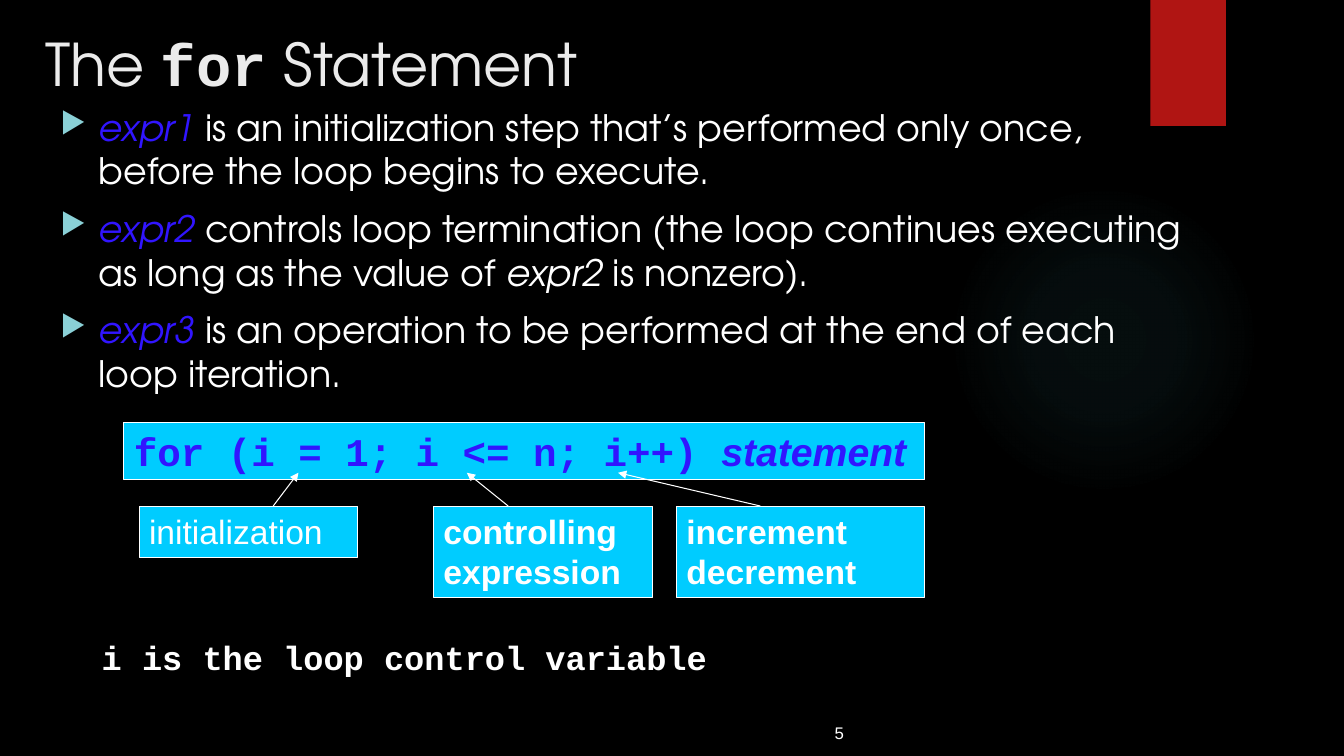
"""Build the slide that explains the three expressions of the for statement."""
import lxml.etree
import pptx
import pptx.dml.color
import pptx.enum.shapes
import pptx.enum.text
import pptx.oxml
import pptx.oxml.ns
import pptx.util

Inches = pptx.util.Inches
RGBColor = pptx.dml.color.RGBColor
Align = pptx.enum.text.PP_ALIGN
Anchor = pptx.enum.text.MSO_ANCHOR
Shape = pptx.enum.shapes.MSO_SHAPE
qn = pptx.oxml.ns.qn

BLACK = RGBColor(0x00, 0x00, 0x00)
WHITE = RGBColor(0xFF, 0xFF, 0xFF)
LIGHT_GREY = RGBColor(0xEB, 0xEB, 0xEB)
BLUE = RGBColor(0x31, 0x15, 0xFF)
CYAN = RGBColor(0x00, 0xCC, 0xFF)
RED = RGBColor(0xB0, 0x15, 0x13)
TEAL = RGBColor(0x50, 0xB9, 0xC1)
PALE_TEAL = RGBColor(0x8A, 0xD0, 0xD6)

HEADING = {"name": "TeX Gyre Adventor", "size": 42, "color": LIGHT_GREY}
HEADING_CODE = {**HEADING, "name": "Courier New", "bold": True}
BODY = {"name": "TeX Gyre Adventor", "size": 26, "color": WHITE}
BODY_ITALIC = {**BODY, "italic": True}
TERM = {**BODY_ITALIC, "color": BLUE}
CODE = {"name": "Courier New", "size": 28, "color": BLUE, "bold": True}
STATEMENT = {**CODE, "name": "Arial", "italic": True}
LABEL = {"name": "Arial", "size": 24, "color": WHITE}
BOLD_LABEL = {**LABEL, "bold": True}
REMARK = {**BOLD_LABEL, "name": "Courier New"}
NUMBER = {"name": "Arial", "size": 12, "color": WHITE}

GLOW_STOPS = [(0, 7), (36, 6), (69, 0)]
LABEL_TOP = 5.02
ARROW_TIP = 4.69


def format_font(font, style):
    """Apply a dict of format values to a font."""
    for key, value in style.items():
        if key == "color":
            font.color.rgb = value
        else:
            setattr(font, key, pptx.util.Pt(value) if key == "size" else value)


def add_bullet(paragraph):
    """Give a paragraph a hanging triangle bullet."""
    properties = paragraph._p.get_or_add_pPr()
    properties.set("marL", str(Inches(0.38)))
    properties.set("indent", str(-Inches(0.38)))
    color = lxml.etree.SubElement(properties, qn("a:buClr"))
    lxml.etree.SubElement(color, qn("a:srgbClr"), val=str(PALE_TEAL))
    lxml.etree.SubElement(properties, qn("a:buSzPct"), val="80000")
    lxml.etree.SubElement(properties, qn("a:buChar"), char="▶")


def write_text(shape, paragraphs, anchor=Anchor.TOP, align=Align.LEFT, bullets=False):
    """Fill a shape with paragraphs, each a list of (text, style) runs."""
    frame = shape.text_frame
    frame.word_wrap = True
    frame.auto_size = pptx.enum.text.MSO_AUTO_SIZE.NONE
    frame.vertical_anchor = anchor
    for index, runs in enumerate(paragraphs):
        paragraph = frame.add_paragraph() if index else frame.paragraphs[0]
        if bullets:
            add_bullet(paragraph)
        paragraph.alignment = align
        if index and bullets:
            paragraph.space_before = pptx.util.Pt(10)
        for text, style in runs:
            run = paragraph.add_run()
            run.text = text
            format_font(run.font, style)


def add_text(slide, box, paragraphs, **options):
    """Add a text box at (left, top, width, height)."""
    write_text(slide.shapes.add_textbox(*map(Inches, box)), paragraphs, **options)


def add_block(slide, kind, box, fill):
    """Add a flat preset shape without an outline."""
    shape = slide.shapes.add_shape(kind, *map(Inches, box))
    shape.shadow.inherit = False
    shape.fill.solid()
    shape.fill.fore_color.rgb = fill
    shape.line.fill.background()
    return shape


def add_glow(slide, box):
    """Add an ellipse that fades out from its centre."""
    shape = add_block(slide, Shape.OVAL, box, TEAL)
    stops = "".join(
        f'<a:gs pos="{position * 1000}"><a:srgbClr val="{TEAL}">'
        f'<a:alpha val="{alpha * 1000}"/></a:srgbClr></a:gs>'
        for position, alpha in GLOW_STOPS + [(100, 0)]
    )
    gradient = pptx.oxml.parse_xml(
        f'<a:gradFill {pptx.oxml.ns.nsdecls("a")} rotWithShape="1">'
        f'<a:gsLst>{stops}</a:gsLst><a:path path="circle">'
        '<a:fillToRect l="50000" t="50000" r="50000" b="50000"/></a:path></a:gradFill>'
    )
    properties = shape._element.spPr
    properties.replace(properties.find(qn("a:solidFill")), gradient)


def add_label(slide, box, paragraphs):
    """Add a cyan box with a thin white outline and text."""
    shape = add_block(slide, Shape.RECTANGLE, box, CYAN)
    shape.line.color.rgb = WHITE
    shape.line.width = pptx.util.Pt(0.75)
    write_text(shape, paragraphs)


def add_arrow(slide, start, end):
    """Add a thin white arrow between two points."""
    connector = slide.shapes.add_connector(
        pptx.enum.shapes.MSO_CONNECTOR.STRAIGHT, *map(Inches, start + end)
    )
    connector.line.color.rgb = WHITE
    connector.line.width = pptx.util.Pt(0.75)
    line = connector.line._get_or_add_ln()
    lxml.etree.SubElement(line, qn("a:tailEnd"), type="triangle")
    lxml.etree.SubElement(connector._element.spPr, qn("a:effectLst"))


def add_title(slide, box, runs):
    """Place and format the title placeholder."""
    title = slide.shapes.title
    title.left, title.top, title.width, title.height = map(Inches, box)
    write_text(title, [runs])


def add_for_diagram(slide):
    """Add the code line with its labels and arrows."""
    code = [("for (i = 1; i <= n; i++) ", CODE), ("statement", STATEMENT)]
    add_label(slide, (1.23, 4.19, 7.94, 0.57), [code])
    labels = [
        (1.38, 2.17, 0.51, ["initialization"], LABEL, 2.71, 2.96),
        (4.3, 2.17, 0.91, ["controlling expression"], BOLD_LABEL, 5.04, 4.63),
        (6.71, 2.46, 0.91, ["increment", "decrement"], BOLD_LABEL, 7.54, 6.13),
    ]
    for left, width, height, lines, style, start, tip in labels:
        paragraphs = [[(text, style)] for text in lines]
        add_label(slide, (left, LABEL_TOP, width, height), paragraphs)
        add_arrow(slide, (start, LABEL_TOP), (tip, ARROW_TIP))


def main():
    """Build and save the slide."""
    presentation = pptx.Presentation()
    presentation.slide_width = Inches(13.33)
    presentation.slide_height = Inches(7.5)
    slide = presentation.slides.add_slide(presentation.slide_layouts[5])
    slide.background.fill.solid()
    slide.background.fill.fore_color.rgb = BLACK

    add_glow(slide, (9.41, 1.83, 3.08, 3.08))
    add_block(slide, Shape.RECTANGLE, (11.41, 0, 0.75, 1.25), RED)
    title = [("The ", HEADING), ("for", HEADING_CODE), (" Statement", HEADING)]
    add_title(slide, (0.35, 0.22, 7.65, 0.46), title)
    points = [
        [("expr1", TERM),
         (" is an initialization step that’s performed only once, "
          "before the loop begins to execute.", BODY)],
        [("expr2", TERM),
         (" controls loop termination (the loop continues executing "
          "as long as the value of ", BODY),
         ("expr2", BODY_ITALIC), (" is nonzero).", BODY)],
        [("expr3", TERM),
         (" is an operation to be performed at the end of each loop iteration.", BODY)],
    ]
    add_text(slide, (0.5, 0.99, 11.46, 5.83), points, bullets=True)
    add_text(slide, (7.16, 7.09, 2.33, 0.33), [[("5", NUMBER)]],
             anchor=Anchor.BOTTOM, align=Align.CENTER)
    add_for_diagram(slide)
    add_text(slide, (0.91, 6.27, 8.58, 0.51), [[("i is the loop control variable", REMARK)]])
    presentation.save("out.pptx")


if __name__ == "__main__":
    main()
